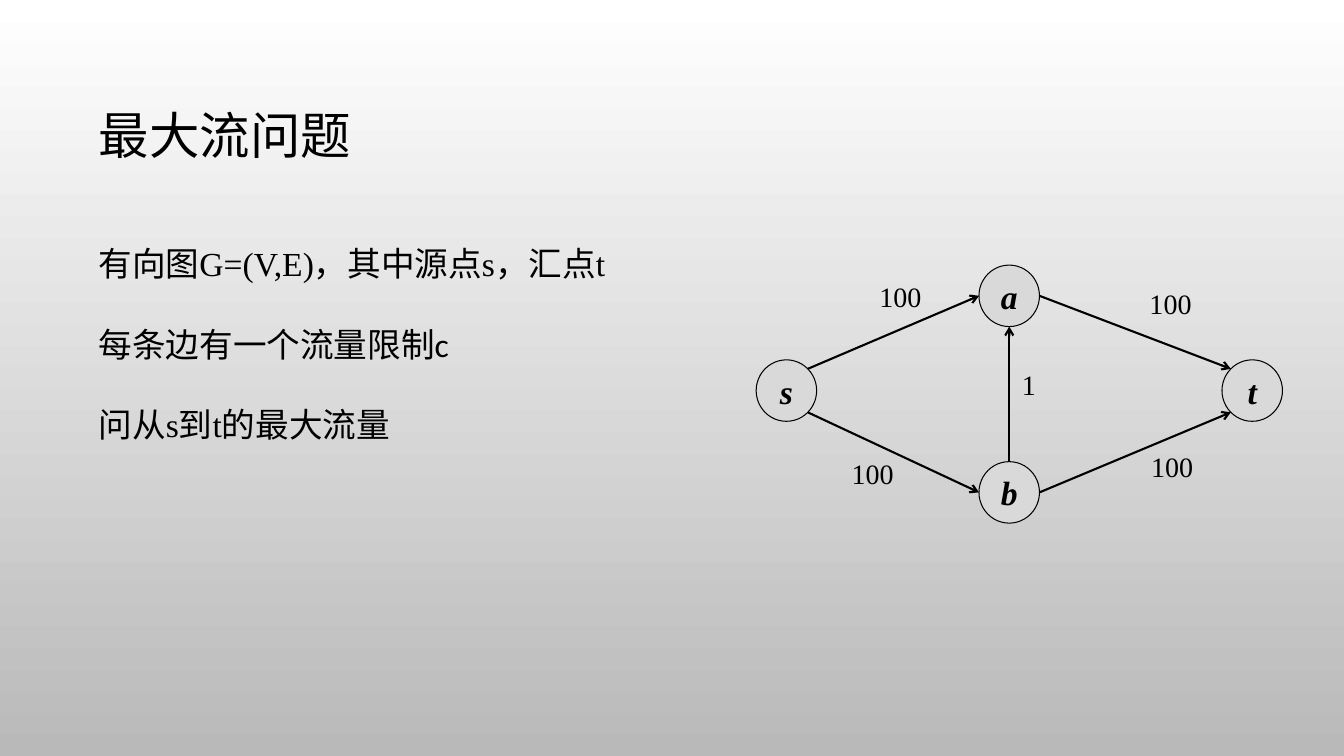
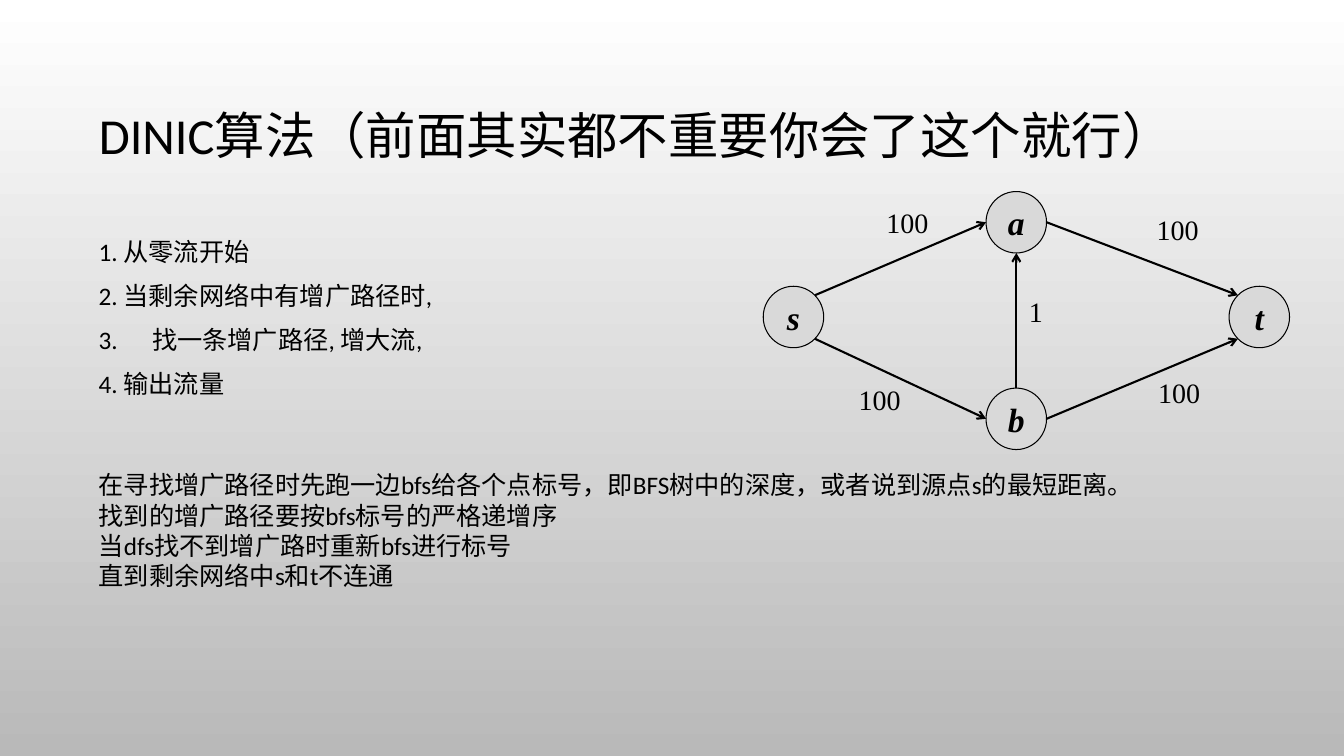
import math
from lxml import etree
from pptx import Presentation
from pptx import util as u
from pptx.dml.color import RGBColor
from pptx.enum import shapes, text
from pptx.oxml import ns

COLORS = {"ink": "000000", "node": "D9D9D9", "top": "FFFFFF", "bottom": "B9B9B9"}
SANS, SERIF = "Calibri", "Times New Roman"

PROBLEM = [
    [("有向图", SANS), ("G=(V,E)，其中源点s，汇点t", SERIF)],
    [("每条边有一个流量限制c", SANS)],
    [("问从", SANS), ("s", SERIF), ("到", SANS), ("t", SERIF), ("的最大流量", SANS)],
]
STEPS = [
    [("1. 从零流开始", SANS)],
    [("2. 当剩余网络中有增广路径时,", SANS)],
    [("3.\t找一条增广路径, 增大流,", SANS)],
    [("4. 输出流量", SANS)],
]
DINIC = [
    [("在寻找增广路径时先跑一边bfs给各个点标号，即BFS树中的深度，或者说到源点s的最短距离。", SANS)],
    [("找到的增广路径要按bfs标号的严格递增序", SANS)],
    [("当dfs找不到增广路时重新bfs进行标号", SANS)],
    [("直到剩余网络中s和t不连通", SANS)],
]
SLIDES = [
    {"title": "最大流问题", "graph": (7.5, 2.63),
     "bodies": [{"box": (0.88, 2.36, 5.91, 2.52), "lines": PROBLEM, "size": 24, "after": 28.8}]},
    {"title": "DINIC算法（前面其实都不重要你会了这个就行）", "graph": (7.57, 1.9),
     "bodies": [{"box": (0.88, 4.61, 10.73, 1.31), "lines": DINIC, "size": 18},
                {"box": (0.88, 2.24, 7.01, 1.8), "lines": STEPS, "size": 18,
                 "spacing": 1.2, "before": 3.6, "after": 1.8, "tab": 0.53}]},
]

NODE_W, NODE_H = 0.6, 0.61
NODES = {"s": (0, 0.94), "a": (2.21, 0), "b": (2.21, 1.95), "t": (4.62, 0.94)}
EDGES = [("s", -45, "a", 180), ("a", 0, "t", 225), ("s", 45, "b", 180),
         ("b", 0, "t", 135), ("b", -90, "a", 90)]
CAPACITIES = [("100 ", 0.41, 1.69, 1.56), ("1", 2.07, 0.81, 1.27), ("100", 3.26, 0, 1.7),
              ("100", 3.49, 1.62, 1.27), ("100", 0.58, -0.07, 1.7)]
CAPACITY_H = 0.75


def rgb(name):
    return RGBColor.from_string(COLORS[name])


def inches(*lengths):
    return [u.Inches(length) for length in lengths]


def add_run(paragraph, words, size, face, emphasis=False):
    run = paragraph.add_run()
    run.text = words
    run.font.size, run.font.name = u.Pt(size), face
    run.font.color.rgb = rgb("ink")
    if emphasis:
        run.font.bold = run.font.italic = True


def add_title(slide, words):
    title = slide.shapes.title
    title.left, title.top, title.width, title.height = inches(0.88, 0.5, 11.33, 1.75)
    title.text_frame.vertical_anchor = text.MSO_ANCHOR.MIDDLE
    paragraph = title.text_frame.paragraphs[0]
    paragraph.alignment = text.PP_ALIGN.LEFT
    paragraph.line_spacing = 0.9
    add_run(paragraph, words, 36, SANS)


def add_body(slide, body):
    frame = slide.shapes.add_textbox(*inches(*body["box"])).text_frame
    frame.word_wrap = True
    for i, line in enumerate(body["lines"]):
        paragraph = frame.add_paragraph() if i else frame.paragraphs[0]
        paragraph.line_spacing = body.get("spacing", 1.0)
        paragraph.space_before = u.Pt(body.get("before", 0))
        paragraph.space_after = u.Pt(body.get("after", 0))
        if "tab" in body:
            stops = etree.SubElement(paragraph._p.get_or_add_pPr(), ns.qn("a:tabLst"))
            etree.SubElement(stops, ns.qn("a:tab"), pos=str(u.Inches(body["tab"])), algn="l")
        for words, face in line:
            add_run(paragraph, words, body["size"], face)


def add_graph(slide, left, top):
    parts = slide.shapes.add_group_shape().shapes

    def rim(node, degrees):
        x, y = NODES[node]
        angle = math.radians(degrees)
        return inches(left + x + NODE_W / 2 * (1 + math.cos(angle)),
                      top + y + NODE_H / 2 * (1 + math.sin(angle)))

    for capacity, x, y, width in CAPACITIES:
        frame = parts.add_textbox(*inches(left + x, top + y, width, CAPACITY_H)).text_frame
        frame.word_wrap = True
        frame.vertical_anchor = text.MSO_ANCHOR.MIDDLE
        frame.paragraphs[0].alignment = text.PP_ALIGN.CENTER
        add_run(frame.paragraphs[0], capacity, 20, SERIF)

    for name, (x, y) in NODES.items():
        node = parts.add_shape(shapes.MSO_SHAPE.OVAL,
                               *inches(left + x, top + y, NODE_W, NODE_H))
        node.shadow.inherit = False
        node.fill.solid()
        node.fill.fore_color.rgb = rgb("node")
        node.line.color.rgb = rgb("ink")
        node.line.width = u.Pt(0.75)
        frame = node.text_frame
        frame.margin_left = frame.margin_right = frame.margin_top = frame.margin_bottom = 0
        frame.word_wrap = False
        frame.vertical_anchor = text.MSO_ANCHOR.MIDDLE
        frame.paragraphs[0].alignment = text.PP_ALIGN.CENTER
        add_run(frame.paragraphs[0], name, 24, SERIF, emphasis=True)

    for source, leaving, target, entering in EDGES:
        edge = parts.add_connector(shapes.MSO_CONNECTOR.STRAIGHT,
                                   *rim(source, leaving), *rim(target, entering))
        edge.line.color.rgb = rgb("ink")
        edge.line.width = u.Pt(1.5)
        etree.SubElement(edge.line._get_or_add_ln(), ns.qn("a:tailEnd"), type="arrow")
        etree.SubElement(edge._element.spPr, ns.qn("a:effectLst"))


deck = Presentation()
deck.slide_width, deck.slide_height = inches(13.33, 7.5)
backdrop = deck.slide_master.background.fill
backdrop.gradient()
backdrop.gradient_angle = 270
for stop, shade in zip(backdrop.gradient_stops, ("top", "bottom")):
    stop.color.rgb = rgb(shade)

for content in SLIDES:
    slide = deck.slides.add_slide(deck.slide_layouts[5])
    add_title(slide, content["title"])
    for body in content["bodies"]:
        add_body(slide, body)
    add_graph(slide, *content["graph"])

deck.save("out.pptx")
